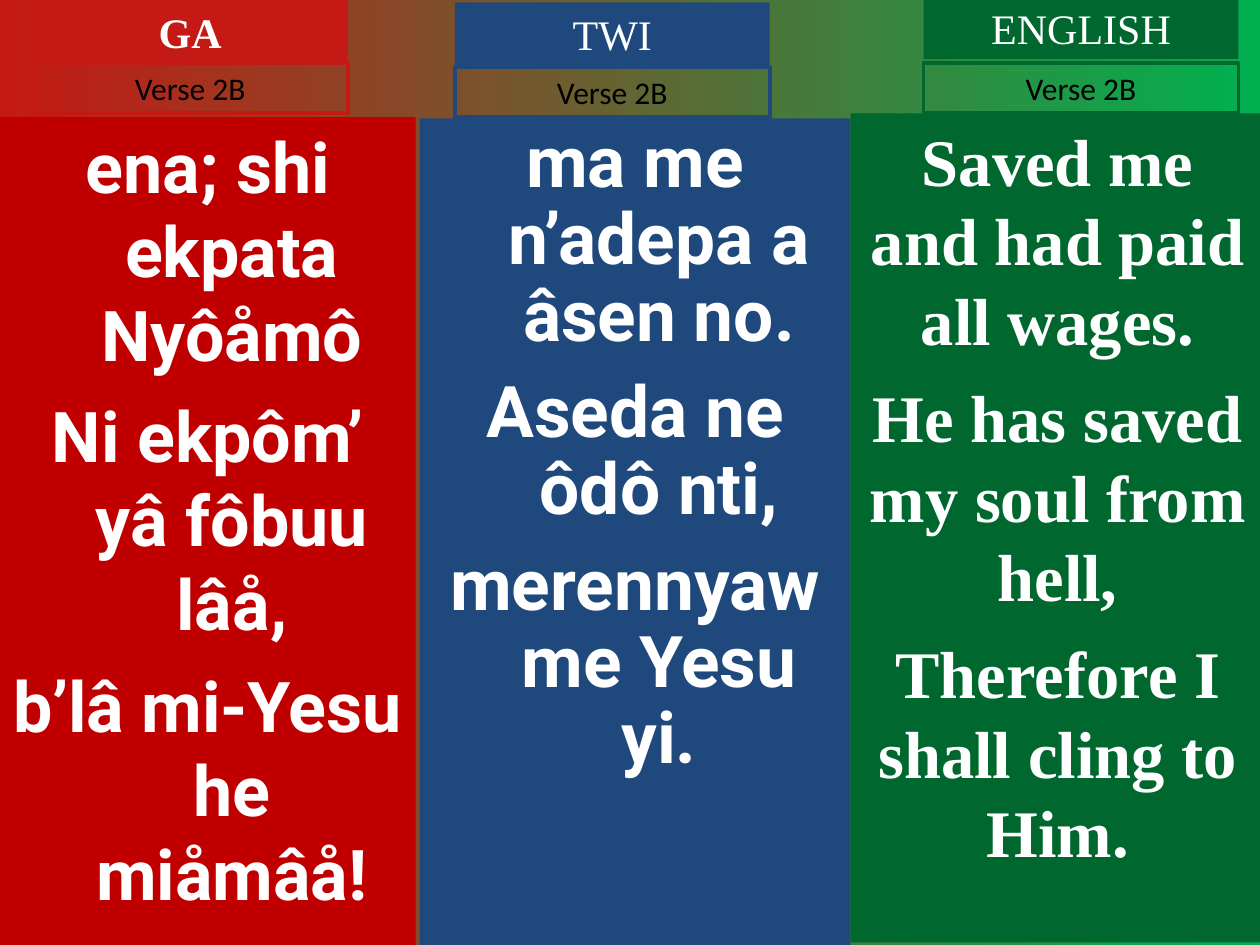
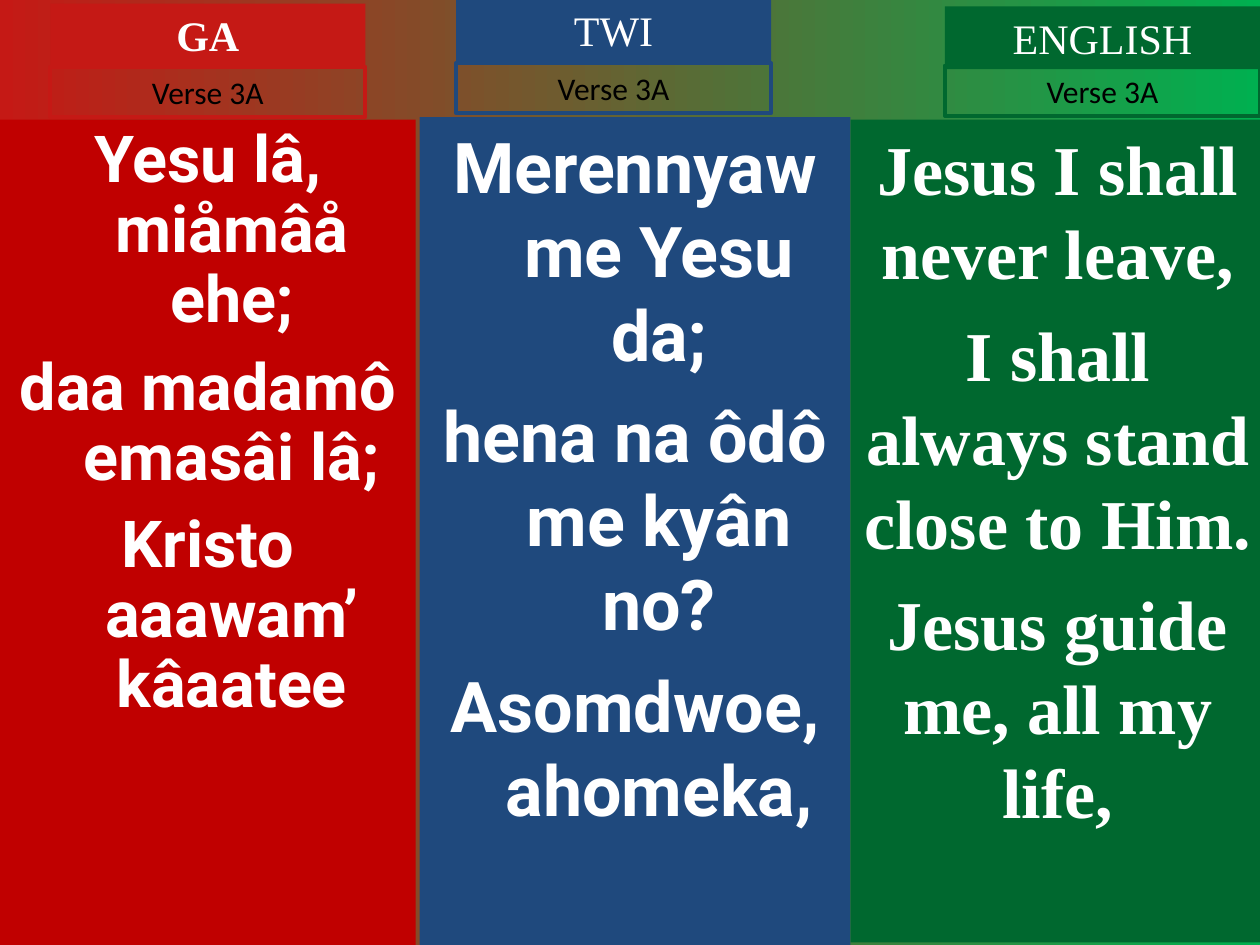
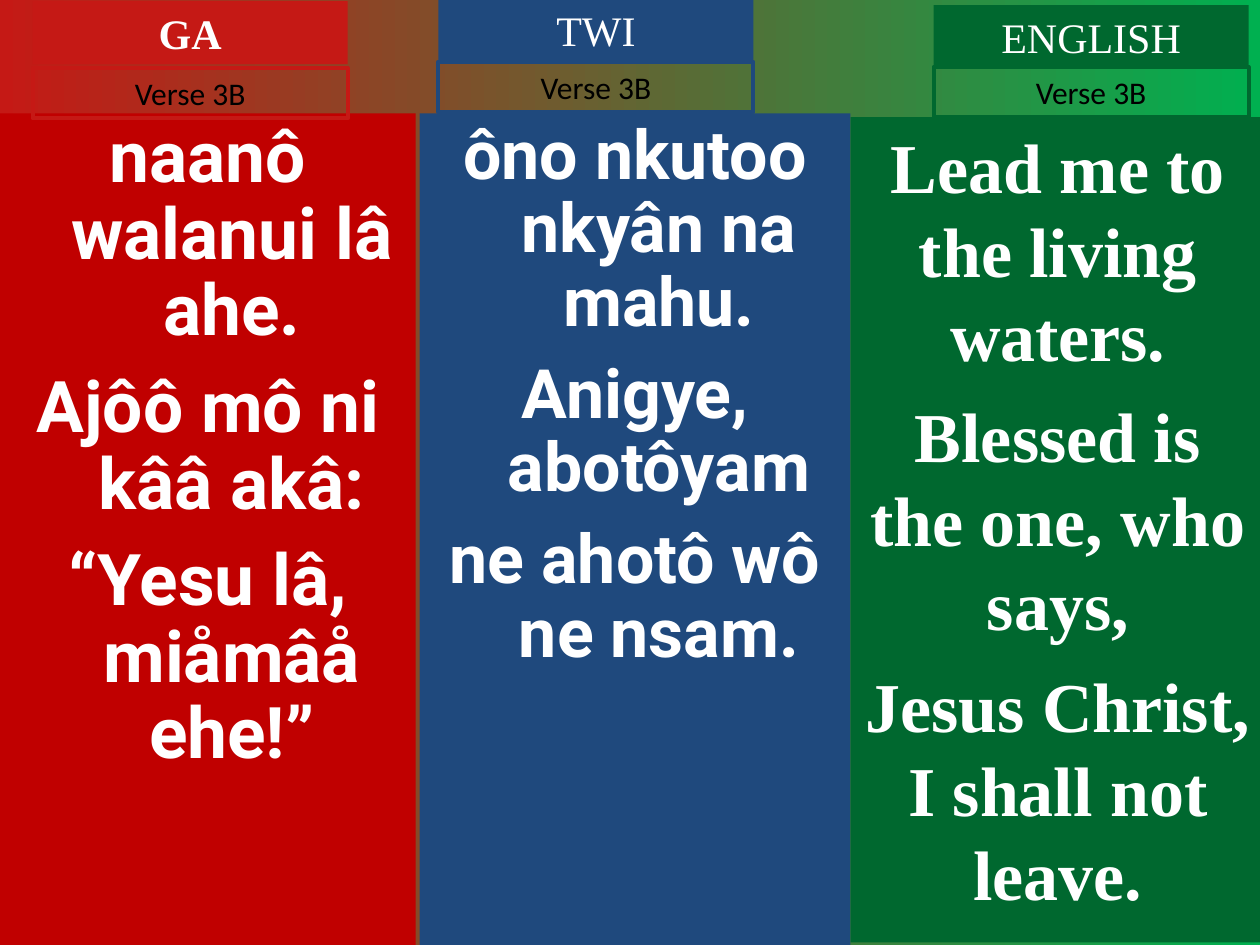
from pptx import Presentation
from pptx.dml.color import RGBColor
from pptx.enum.shapes import MSO_SHAPE
from pptx.enum.text import MSO_ANCHOR, MSO_AUTO_SIZE, PP_ALIGN
from pptx.util import Inches, Pt

RED = RGBColor(0xC5, 0x19, 0x15)
DEEP_RED = RGBColor(0xC0, 0x00, 0x00)
BLUE = RGBColor(0x1F, 0x49, 0x7D)
GREEN = RGBColor(0x00, 0x68, 0x2F)
BRIGHT_GREEN = RGBColor(0x00, 0xB0, 0x50)
WHITE = RGBColor(0xFF, 0xFF, 0xFF)
BLACK = RGBColor(0x00, 0x00, 0x00)

HEAD_W, HEAD_H, VERSE_H = 2.5, 0.5, 0.4
LINE_PITCH = 1.2  # line height as a multiple of the text size

LANGUAGES = [
    dict(name="GA", bold=True, left=0, width=3.3, bottom=7.5,
         body=DEEP_RED, accent=RED, font="Roboto", hang=0.38),
    dict(name="TWI", bold=False, left=3.33, width=3.42, bottom=7.5,
         body=BLUE, accent=BLUE, font="Roboto", hang=0.38),
    dict(name="ENGLISH", bold=False, left=6.75, width=3.29, bottom=7.48,
         body=GREEN, accent=GREEN, font="Times New Roman", hang=0),
]

# Each column: body top, header left, name top, verse top,
# text size, line spacing, space between paragraphs, lyrics
VERSES = [
    ("Verse 2B", [
        (0.93, 0.26, 0, 0.5, 40, 1, 10,
         ["ena; shi ekpata Nyôåmô", "Ni ekpôm’ yâ fôbuu lâå,",
          "b’lâ mi-Yesu he miåmâå!"]),
        (0.94, 3.61, 0.02, 0.53, 40.7, 0.9, 11,
         ["ma me n’adepa a âsen no.", "Aseda ne ôdô nti,",
          "merennyaw me Yesu yi."]),
        (0.9, 7.33, -0.03, 0.5, 38, 1, 9.5,
         ["Saved me and had paid all wages.",
          "He has saved my soul from hell,",
          "Therefore I shall cling to Him."]),
    ]),
    ("Verse 3A", [
        (0.95, 0.4, 0.03, 0.53, 37, 0.9, 10,
         ["Yesu lâ, miåmâå ehe;", "daa madamô emasâi lâ;",
          "Kristo aaawam’ kâaatee"]),
        (0.93, 3.62, -0.01, 0.5, 40, 1, 10,
         ["Merennyaw me Yesu da;", "hena na ôdô me kyân no?",
          "Asomdwoe, ahomeka,"]),
        (0.95, 7.5, 0.05, 0.52, 40, 1, 10,
         ["Jesus I shall never leave,",
          "I shall always stand close to Him.",
          "Jesus guide me, all my life,"]),
    ]),
    ("Verse 3B", [
        (0.9, 0.26, 0.01, 0.54, 40.7, 0.9, 11,
         ["naanô walanui lâ ahe.", "Ajôô mô ni kââ akâ:",
          "“Yesu lâ, miåmâå ehe!”"]),
        (0.9, 3.48, -0.01, 0.49, 38.9, 0.9, 10.5,
         ["ôno nkutoo nkyân na mahu.", "Anigye, abotôyam",
          "ne ahotô wô ne nsam."]),
        (0.93, 7.41, 0.04, 0.53, 40, 1, 10,
         ["Lead me to the living waters.", "Blessed is the one, who says,",
          "Jesus Christ, I shall not leave."]),
    ]),
]


def add_box(slide, left, top, width, height, lines, font, fill=None, outline=None):
    """Add a rectangle with one centred paragraph per line."""
    sp = slide.shapes.add_shape(MSO_SHAPE.RECTANGLE, Inches(left), Inches(top),
                                Inches(width), Inches(height))
    sp.shadow.inherit = False
    if fill is None:
        sp.fill.background()
    else:
        sp.fill.solid()
        sp.fill.fore_color.rgb = fill
    if outline is None:
        sp.line.fill.background()
    else:
        sp.line.color.rgb = outline
        sp.line.width = Pt(2.25)
    tf = sp.text_frame
    tf.word_wrap = True
    tf.vertical_anchor = MSO_ANCHOR.TOP
    for i, line in enumerate(lines):
        p = tf.paragraphs[0] if i == 0 else tf.add_paragraph()
        p.alignment = PP_ALIGN.CENTER
        r = p.add_run()
        r.text = line
        for key, value in font.items():
            if key == "color":
                r.font.color.rgb = value
            else:
                setattr(r.font, key, value)
    return tf


def add_lyrics(slide, lang, top, size, spacing, gap, lines):
    font = dict(name=lang["font"], size=Pt(size), bold=True, color=WHITE)
    tf = add_box(slide, lang["left"], top, lang["width"], lang["bottom"] - top,
                 lines, font, fill=lang["body"])
    for i, p in enumerate(tf.paragraphs):
        p.line_spacing = Pt(size * spacing * LINE_PITCH)
        p.space_before = Pt(gap if i else 0)
        if lang["hang"]:
            pPr = p._p.get_or_add_pPr()
            pPr.set("marL", str(Inches(lang["hang"])))
            pPr.set("indent", str(-Inches(lang["hang"])))


def add_header(slide, lang, left, name_top, verse_top, verse):
    name_font = dict(name="Times New Roman", size=Pt(24), bold=lang["bold"], color=WHITE)
    verse_font = dict(name="Calibri", size=Pt(18), color=BLACK)
    frames = [
        add_box(slide, left, name_top, HEAD_W, HEAD_H, [lang["name"]],
                name_font, fill=lang["accent"]),
        add_box(slide, left, verse_top, HEAD_W, VERSE_H, [verse],
                verse_font, outline=lang["accent"]),
    ]
    for tf in frames:
        tf.auto_size = MSO_AUTO_SIZE.SHAPE_TO_FIT_TEXT


def paint_background(slide):
    fill = slide.background.fill
    fill.gradient()
    fill.gradient_angle = 0
    for stop, color, position in zip(fill.gradient_stops, (RED, BRIGHT_GREEN), (0, 1)):
        stop.color.rgb = color
        stop.position = position


def main():
    prs = Presentation()
    prs.slide_width, prs.slide_height = Inches(10), Inches(7.5)
    for verse, columns in VERSES:
        slide = prs.slides.add_slide(prs.slide_layouts[6])
        paint_background(slide)
        for lang, column in zip(LANGUAGES, columns):
            top, left, name_top, verse_top, size, spacing, gap, lines = column
            add_lyrics(slide, lang, top, size, spacing, gap, lines)
            add_header(slide, lang, left, name_top, verse_top, verse)
    prs.save("out.pptx")


if __name__ == "__main__":
    main()
